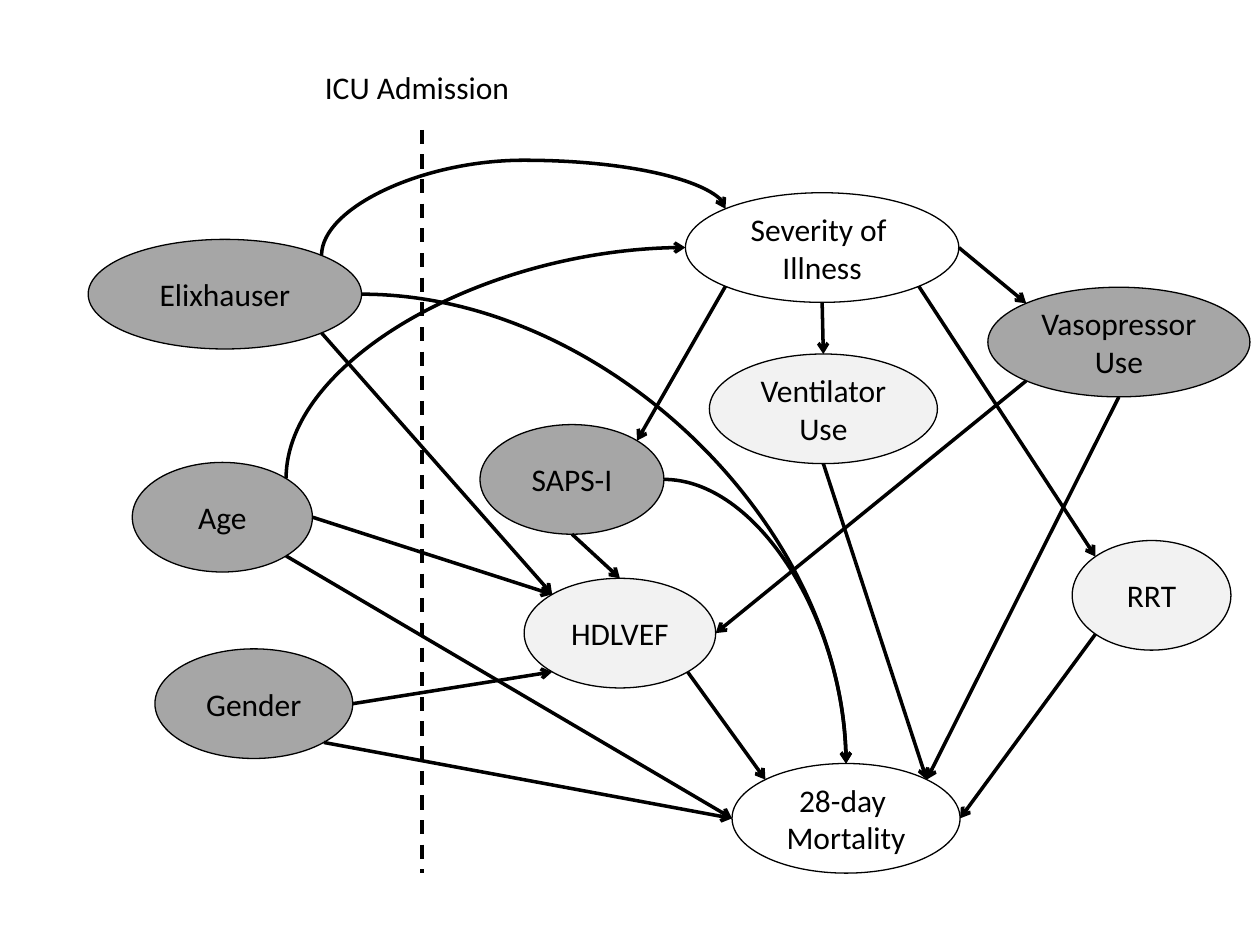
"""Build a causal diagram of ICU admission factors and 28-day mortality."""
import math

from lxml import etree
from pptx import Presentation
from pptx.dml.color import RGBColor
from pptx.enum import dml, shapes, text
from pptx.oxml import ns
from pptx.util import Inches, Pt

BLACK = RGBColor(0x00, 0x00, 0x00)
DARK_GRAY = RGBColor(0xA6, 0xA6, 0xA6)
LIGHT_GRAY = RGBColor(0xF2, 0xF2, 0xF2)
NODE_HEIGHT = 0.87
DIAGONAL = math.sqrt(0.5)
SITES = {
    "top": (0, 0, -1), "top left": (1, -DIAGONAL, -DIAGONAL),
    "left": (2, -1, 0), "bottom left": (3, -DIAGONAL, DIAGONAL),
    "bottom": (4, 0, 1), "bottom right": (5, DIAGONAL, DIAGONAL),
    "right": (6, 1, 0), "top right": (7, DIAGONAL, -DIAGONAL),
}


def write(frame, words, align=None, anchor=None, wrap=True, size=18, color=BLACK):
    frame.text = words
    frame.word_wrap = wrap
    if anchor is not None:
        frame.vertical_anchor = anchor
    for paragraph in frame.paragraphs:
        paragraph.alignment = align
        for run in paragraph.runs:
            run.font.name = "Calibri"
            run.font.size = Pt(size)
            run.font.color.rgb = color


def draw_line(kind, begin, end):
    connector = slide.shapes.add_connector(kind, *map(Inches, (*begin, *end)))
    connector.line.color.rgb = BLACK
    connector.line.width = Pt(2)
    etree.SubElement(connector.element.spPr, ns.qn("a:effectLst"))
    return connector


prs = Presentation()
prs.slide_width, prs.slide_height = Inches(10), Inches(7.5)
slide = prs.slides.add_slide(prs.slide_layouts[6])

admission = draw_line(shapes.MSO_CONNECTOR.STRAIGHT, (3.35, 1.03), (3.35, 6.93))
admission.line.dash_style = dml.MSO_LINE.DASH
admission_label = slide.shapes.add_textbox(Inches(2.48), Inches(0.49), Inches(1.68), Inches(0.4))
write(admission_label.text_frame, "ICU Admission", wrap=False)

factors = {
    "elixhauser": ("Elixhauser", 0.7, 1.9, 2.17, DARK_GRAY),
    "age": ("Age", 1.05, 3.67, 1.43, DARK_GRAY),
    "gender": ("Gender", 1.23, 5.15, 1.57, DARK_GRAY),
    "severity": ("Severity of \nIllness", 5.44, 1.53, 2.17, None),
    "saps": ("SAPS-I", 3.81, 3.37, 1.46, DARK_GRAY),
    "ventilator": ("Ventilator\nUse", 5.63, 2.81, 1.81, LIGHT_GRAY),
    "vasopressor": ("Vasopressor\nUse", 7.84, 2.28, 2.08, DARK_GRAY),
    "mortality": ("28-day \nMortality", 5.81, 6.06, 1.81, None),
    "hdlvef": ("HDLVEF", 4.16, 4.59, 1.52, LIGHT_GRAY),
    "rrt": ("RRT", 8.51, 4.29, 1.26, LIGHT_GRAY),
}
ovals = {}
for key, (words, left, top, width, fill) in factors.items():
    oval = slide.shapes.add_shape(
        shapes.MSO_SHAPE.OVAL, *map(Inches, (left, top, width, NODE_HEIGHT)))
    oval.shadow.inherit = False
    if fill is None:
        oval.fill.background()
    else:
        oval.fill.solid()
        oval.fill.fore_color.rgb = fill
    oval.line.color.rgb = BLACK
    oval.line.width = Pt(0.75)
    write(oval.text_frame, words, align=text.PP_ALIGN.CENTER, anchor=text.MSO_ANCHOR.MIDDLE)
    ovals[key] = oval

effects = [
    ("elixhauser", "top right", "severity", "top left", "arch"),
    ("age", "top right", "severity", "left", "rise"),
    ("elixhauser", "right", "mortality", "top", "fall"),
    ("severity", "bottom", "ventilator", "top", "straight"),
    ("severity", "bottom left", "saps", "top right", "straight"),
    ("severity", "right", "vasopressor", "top left", "straight"),
    ("ventilator", "bottom", "mortality", "top right", "straight"),
    ("saps", "bottom", "hdlvef", "top", "straight"),
    ("hdlvef", "bottom right", "mortality", "top left", "straight"),
    ("vasopressor", "bottom", "mortality", "top right", "straight"),
    ("severity", "bottom right", "rrt", "top left", "straight"),
    ("vasopressor", "bottom left", "hdlvef", "right", "straight"),
    ("gender", "right", "hdlvef", "bottom left", "straight"),
    ("age", "right", "hdlvef", "top left", "straight"),
    ("age", "bottom right", "mortality", "left", "straight"),
    ("rrt", "bottom left", "mortality", "right", "straight"),
    ("gender", "bottom right", "mortality", "left", "straight"),
    ("saps", "right", "mortality", "top", "fall"),
    ("elixhauser", "bottom right", "hdlvef", "top left", "straight"),
]
for cause, cause_site, outcome, outcome_site, route in effects:
    ends = []
    for key, site in ((cause, cause_site), (outcome, outcome_site)):
        words, left, top, width, fill = factors[key]
        index, across, down = SITES[site]
        ends.append((left + width / 2 * (1 + across), top + NODE_HEIGHT / 2 * (1 + down)))
    (x1, y1), (x2, y2) = ends
    turned = route in ("arch", "rise")
    if turned:
        middle_x, middle_y = (x1 + x2) / 2, (y1 + y2) / 2
        half_width, half_height = abs(y2 - y1) / 2, abs(x2 - x1) / 2
        ends = [(middle_x + half_width, middle_y + half_height),
                (middle_x - half_width, middle_y - half_height)]
    straight = route == "straight"
    kind = shapes.MSO_CONNECTOR.STRAIGHT if straight else shapes.MSO_CONNECTOR.CURVE
    arrow = draw_line(kind, *ends)
    etree.SubElement(arrow.line._get_or_add_ln(), ns.qn("a:tailEnd"), type="arrow")
    properties = arrow.element.spPr
    if turned:
        properties.find(ns.qn("a:xfrm")).set("rot", "5400000")
    geometry = properties.find(ns.qn("a:prstGeom"))
    if route == "arch":
        adjustments = geometry.find(ns.qn("a:avLst"))
        etree.SubElement(adjustments, ns.qn("a:gd"), name="adj1", fmla="val 204100")
    elif not straight:
        geometry.set("prst", "curvedConnector2")
    else:
        joints = arrow.element.find(".//" + ns.qn("p:cNvCxnSpPr"))
        for tag, key, site in (("a:stCxn", cause, cause_site), ("a:endCxn", outcome, outcome_site)):
            etree.SubElement(joints, ns.qn(tag), id=str(ovals[key].shape_id), idx=str(SITES[site][0]))

prs.save("out.pptx")
